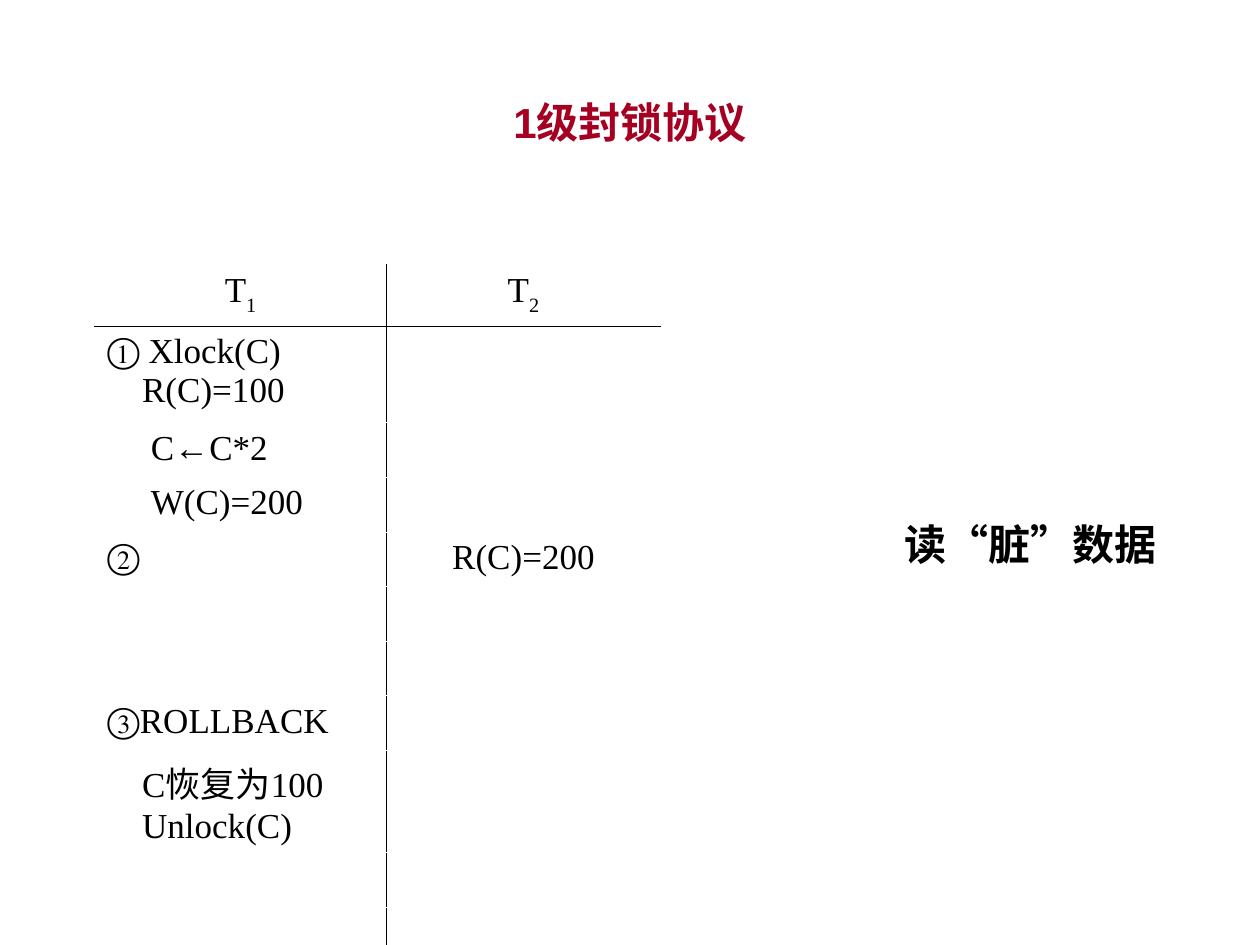
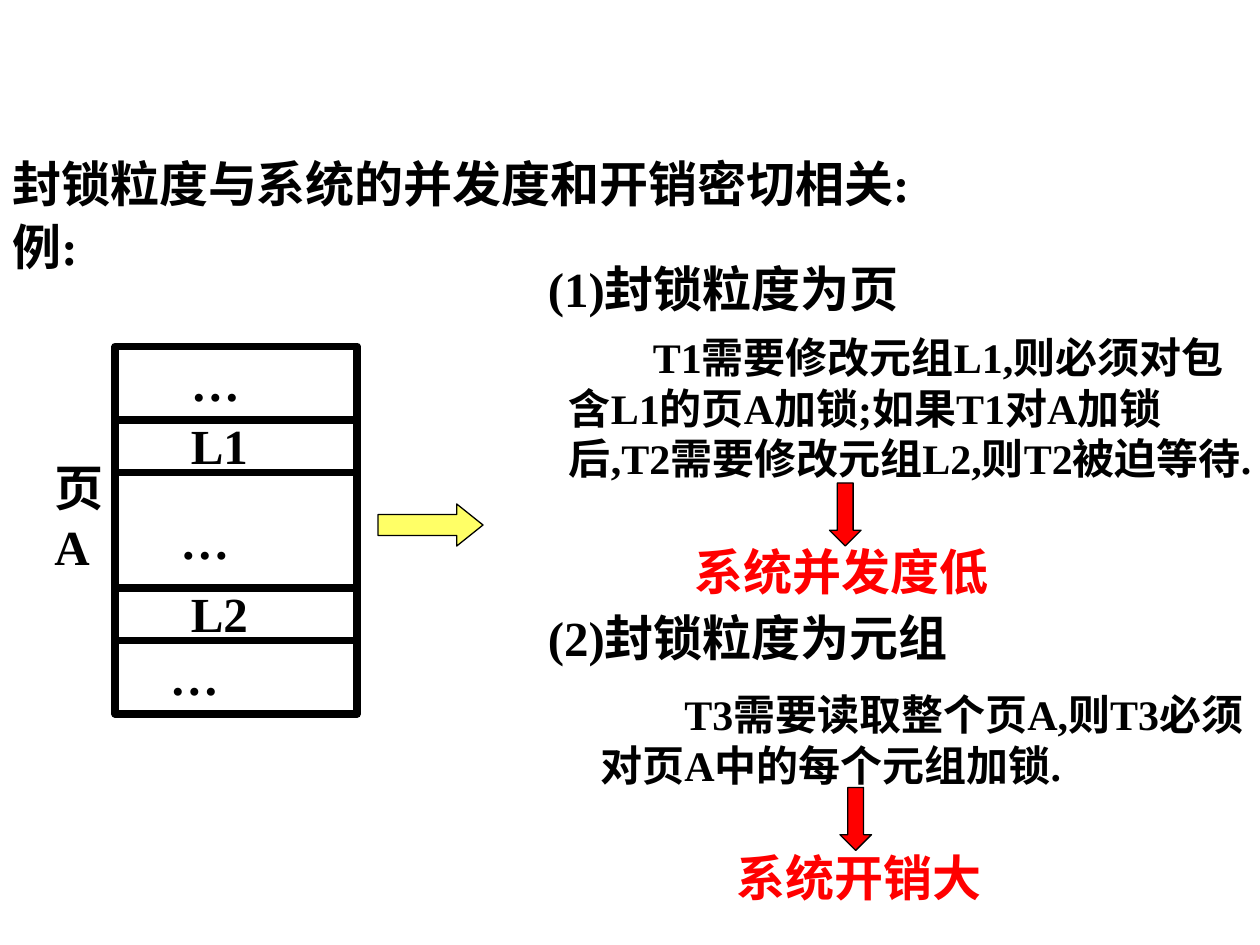
from dataclasses import dataclass

from lxml.etree import SubElement
from pptx import Presentation
from pptx.dml.color import RGBColor as Rgb
from pptx.enum.shapes import MSO_CONNECTOR as Connector, MSO_SHAPE as Shape
from pptx.enum.text import MSO_ANCHOR as Anchor, PP_ALIGN as Align
from pptx.oxml.ns import qn
from pptx.util import Pt


@dataclass(frozen=True)
class Theme:
    ink: str = "000000"
    paper: str = "FFFFFF"
    title: str = "A50021"
    alert: str = "FF0000"
    pointer: str = "FFFF66"
    serif: str = "Times New Roman"
    sans: str = "Arial"
    heading_size: float = 28
    body_size: float = 24
    cell_size: float = 20
    hairline: float = 0.45
    outline: float = 0.75
    frame: float = 4.5


THEME = Theme()


def set_font(font, size, color=THEME.ink, name=THEME.serif, bold=True):
    values = {"size": Pt(size), "name": name, "bold": bold}
    for attribute, value in values.items():
        setattr(font, attribute, value)
    font.color.rgb = Rgb.from_string(color)


def indent_paragraph(paragraph, left=0, first=0):
    properties = paragraph._p.get_or_add_pPr()
    for attribute, length in {"marL": left, "indent": first}.items():
        properties.set(attribute, str(Pt(length)))


def add_text(shapes, box, text, size=THEME.heading_size, first=0, frame_format=None,
             align=Align.LEFT, **font_values):
    frame = shapes.add_textbox(*map(Pt, box)).text_frame
    for attribute, value in {"word_wrap": True, **(frame_format or {})}.items():
        setattr(frame, attribute, value)
    paragraph = frame.paragraphs[0]
    paragraph.alignment = align
    indent_paragraph(paragraph, first=first)
    run = paragraph.add_run()
    run.text = text
    set_font(run.font, size, **font_values)


def add_block(shapes, preset, box, fill=None, weight=THEME.outline):
    block = shapes.add_shape(preset, *map(Pt, box))
    block.shadow.inherit = False
    if fill:
        block.fill.solid()
        block.fill.fore_color.rgb = Rgb.from_string(fill)
    else:
        block.fill.background()
    block.line.color.rgb = Rgb.from_string(THEME.ink)
    block.line.width = Pt(weight)
    return block


def add_rule(shapes, left, top, width):
    rule = shapes.add_connector(Connector.STRAIGHT, Pt(left), Pt(top), Pt(left + width), Pt(top))
    rule.line.color.rgb = Rgb.from_string(THEME.ink)
    rule.line.width = Pt(THEME.frame)
    SubElement(rule._element.spPr, qn("a:effectLst"))


def set_borders(cell, black_sides):
    properties = cell._tc.get_or_add_tcPr()
    for side in "LRTB":
        border = SubElement(properties, qn(f"a:ln{side}"), w=str(Pt(THEME.hairline)))
        fill = SubElement(border, qn("a:solidFill"))
        color = THEME.ink if side in black_sides else THEME.paper
        SubElement(fill, qn("a:srgbClr"), val=color)
    cell.fill.background()


def write_cell(cell, lines, align=Align.LEFT, subscript=""):
    for number, (text, left) in enumerate(lines):
        frame = cell.text_frame
        paragraph = frame.add_paragraph() if number else frame.paragraphs[0]
        paragraph.alignment = align
        indent_paragraph(paragraph, left=left)
        for part, baseline in ((text, 0), (subscript, -30000)):
            if part:
                run = paragraph.add_run()
                run.text = part
                set_font(run.font, THEME.cell_size, bold=False)
                run._r.get_or_add_rPr().set("baseline", str(baseline))


def add_schedule(slide, box):
    steps = {
        1: [("① Xlock(C)", 0), ("R(C)=100", 20)],
        2: [("C←C*2", 25)],
        3: [("W(C)=200", 25)],
        4: [("②", 0)],
        7: [("③ROLLBACK", 0)],
        8: [("C恢复为100", 20), ("Unlock(C)", 20)],
    }
    heights = [35.2] + [55.2 if len(steps.get(row, [])) > 1 else 31.2 for row in range(1, 11)]
    schedule = slide.shapes.add_table(len(heights), 2, *map(Pt, box)).table
    for option in ("first_row", "horz_banding"):
        setattr(schedule, option, False)
    for column, width in zip(schedule.columns, (167, 156.3)):
        column.width = Pt(width)
    for row, height in enumerate(heights):
        schedule.rows[row].height = Pt(height)
        header_side = {0: "B", 1: "T"}.get(row, "")
        for column, divider in enumerate("RL"):
            set_borders(schedule.cell(row, column), divider + header_side)
    for column, number in enumerate("12"):
        write_cell(schedule.cell(0, column), [("T", 0)], Align.CENTER, number)
    for row, lines in steps.items():
        write_cell(schedule.cell(row, 0), lines)
    write_cell(schedule.cell(4, 1), [("R(C)=200", 0)], Align.CENTER)


def add_page_diagram(slide, left, top):
    page = slide.shapes.add_group_shape().shapes
    width = 138
    add_block(page, Shape.RECTANGLE, (left, top, width, 210), weight=THEME.frame)
    for offset in (42, 72, 138, 168):
        add_rule(page, left, top + offset, width)
    labels = [
        ("L1", 36, 36, 78, 41),
        ("L2", 36, 132, 54, 41),
        ("页A", -42, 60, 54, 75),
        ("…", 36, 0, 78, 41),
        ("…", 30, 90, 108, 41),
        ("…", 24, 168, 66, 41),
    ]
    for label, right, down, label_width, height in labels:
        add_text(page, (left + right, top + down, label_width, height), label)


def add_case(slide, left, top, heading, reason, reason_box, arrow_at, result, result_box):
    shapes = slide.shapes

    def place(right, down, width, height):
        return left + right, top + down, width, height

    add_text(shapes, place(0, 0, 318, 41), heading)
    add_text(shapes, place(*reason_box), reason, THEME.body_size, first=48)
    add_block(shapes, Shape.DOWN_ARROW, place(*arrow_at, 18, 36), THEME.alert)
    add_text(shapes, place(*result_box), result, color=THEME.alert)


def build_protocol_slide(slide):
    add_schedule(slide, (54, 151.2, 323.3, 393))
    add_text(slide.shapes, (510, 293, 162, 36), "读“脏”数据", THEME.body_size,
             frame_format={"word_wrap": False, "vertical_anchor": Anchor.MIDDLE})
    add_text(slide.shapes, (69, 54.7, 582, 29.5), "1级封锁协议", THEME.body_size,
             align=Align.CENTER, frame_format={"vertical_anchor": Anchor.MIDDLE},
             color=THEME.title, name=THEME.sans)


def build_granularity_slide(slide):
    add_text(slide.shapes, (0, 84, 720, 41), "封锁粒度与系统的并发度和开销密切相关:")
    add_text(slide.shapes, (0, 120, 198, 41), "例:")
    pointer = add_block(slide.shapes, Shape.RIGHT_ARROW, (216, 288, 60, 24), THEME.pointer)
    pointer.adjustments[1] = 0.625
    add_case(slide, 306, 144, "(1)封锁粒度为页",
             "T1需要修改元组L1,则必须对包含L1的页A加锁;如果T1对A加锁后,T2需要修改元组L2,则T2被迫等待.",
             (12, 42, 402, 122), (168, 132), "系统并发度低", (84, 162, 252, 41))
    add_case(slide, 306, 343.5, "(2)封锁粒度为元组",
             "T3需要读取整个页A,则T3必须对页A中的每个元组加锁.",
             (30, 46.5, 384, 65), (174, 106.5), "系统开销大", (108, 137.5, 174, 41))
    add_page_diagram(slide, 66, 198)


def main():
    deck = Presentation()
    deck.slide_width, deck.slide_height = Pt(720), Pt(540)
    for build in (build_protocol_slide, build_granularity_slide):
        build(deck.slides.add_slide(deck.slide_layouts[6]))
    deck.save("out.pptx")


if __name__ == "__main__":
    main()
